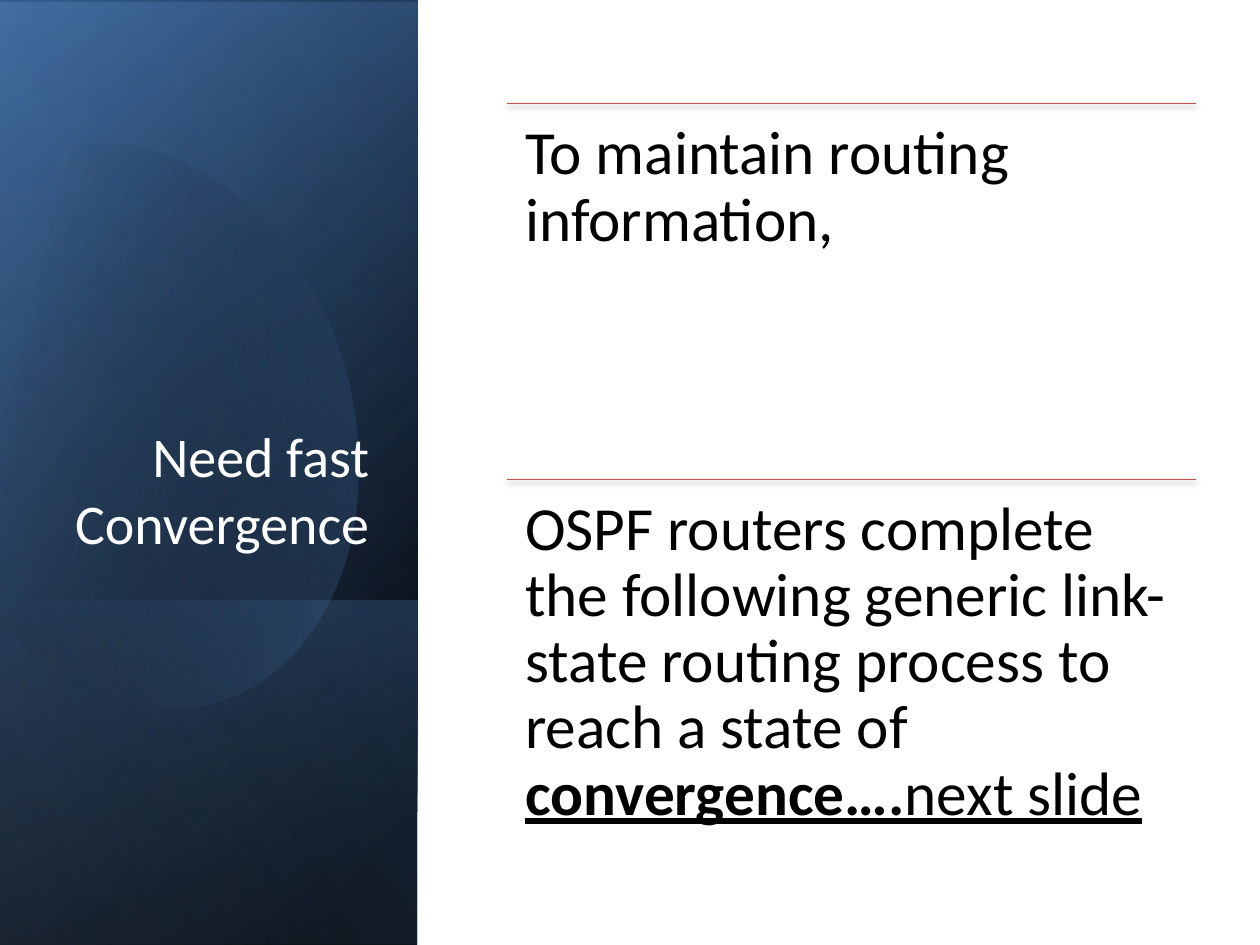
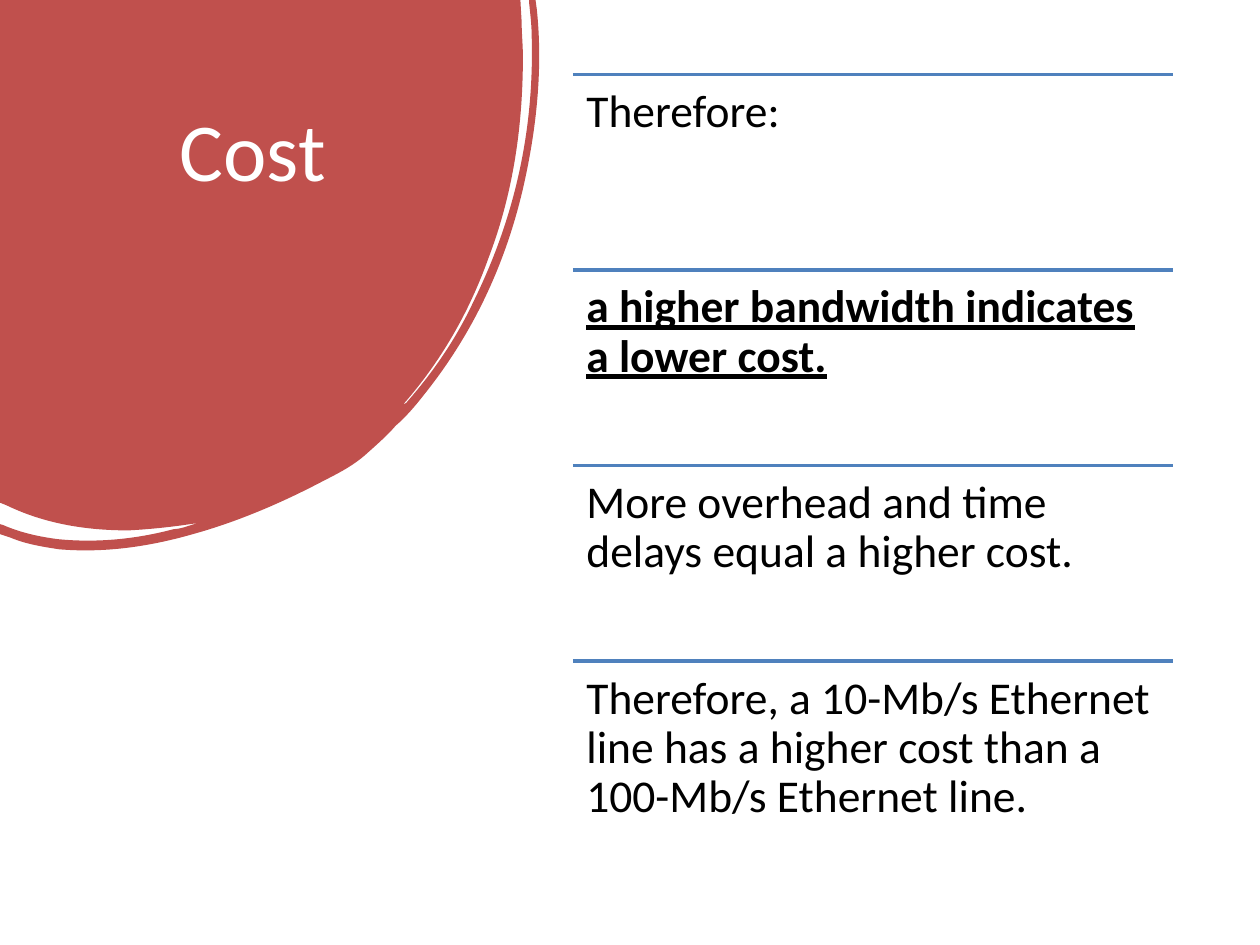
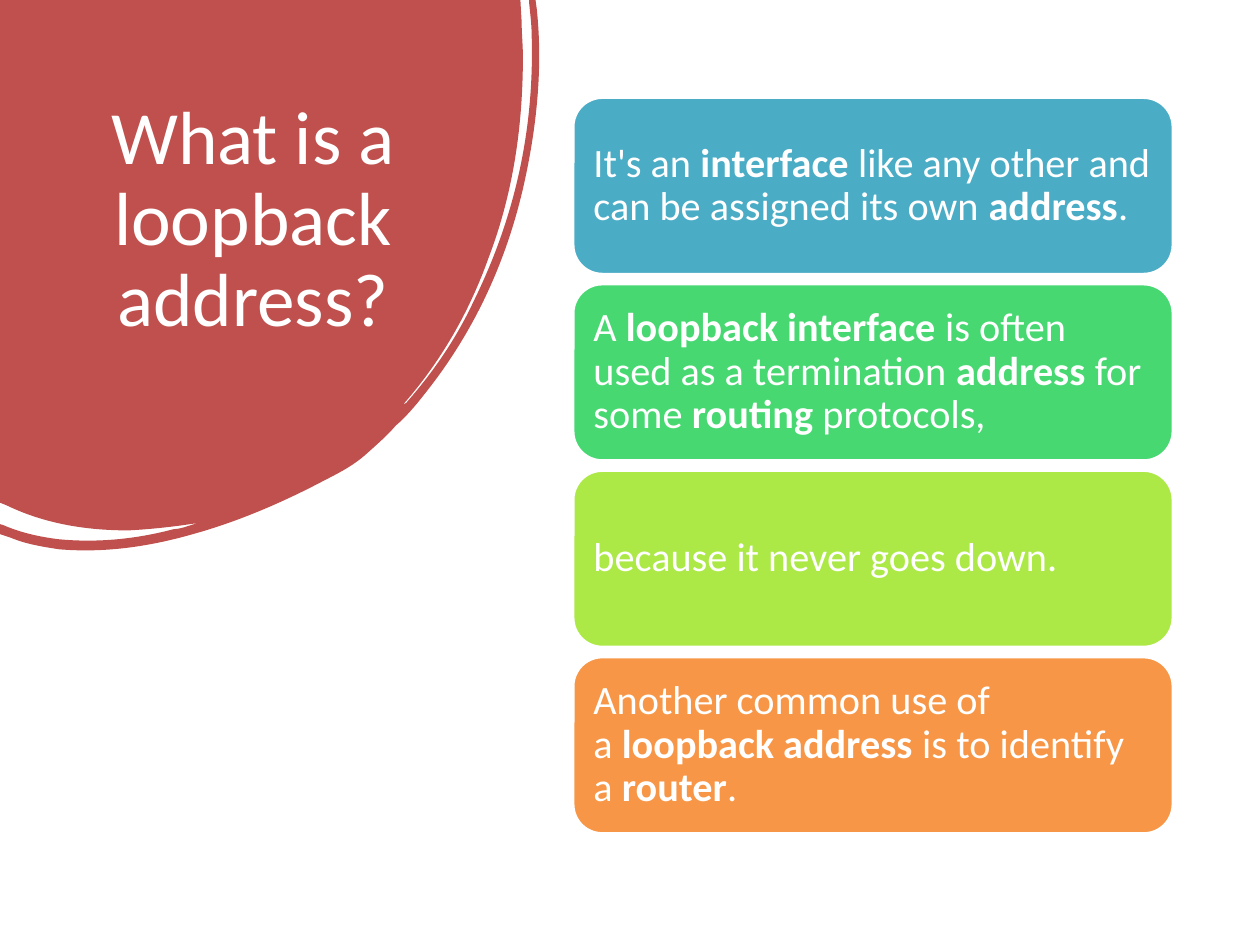
"""Builds three slides on OSPF convergence, cost and loopback addresses."""
import math

from lxml import etree
from pptx import Presentation
from pptx.dml.color import RGBColor
from pptx.enum import shapes, text
from pptx.oxml import parse_xml
from pptx.oxml import ns
from pptx.util import Pt

FONT = "Calibri"
COLORS = {
    "white": "FFFFFF", "black": "000000", "red": "C0504D", "blue": "4F81BD",
    "navy": "376092", "sky": "95B3D7", "teal": "4BACC6", "green": "47D872",
    "lime": "ACE946", "orange": "F79646",
}
HUNDREDTH_INCH = 0.72
HARD_SPACE = chr(160)
PANEL_WIDTH = 238.5
EGG_TURN = -16.1
EGG_BOX = (-29.5, 76.3, 230.4, 329)
EGG = [
    (96, 114), (171, 122, 244, 192, 273, 290), (307, 412, 262, 531, 171, 557),
    (114, 574, 53, 550, 7, 500), (-3, 488), (-25, 166), (-15, 154),
    (2, 137, 22, 125, 45, 118), (62, 113, 79, 112, 96, 114),
]
BLOB_BOX = (0, 0, 308.2, 314.6)
BLOB = [
    (0, 0), (413, 0), (414, 17), (414, 26, 415, 36, 415, 45),
    (415, 101, 407, 154, 388, 204), (372, 249, 349, 288, 320, 321),
    (322, 321, 323, 319, 324, 318), (344, 295, 362, 269, 376, 239),
    (407, 176, 424, 107, 422, 30), (422, 21, 421, 12, 420, 3), (420, 0),
    (425, 0), (426, 7), (431, 54, 426, 102, 415, 150),
    (400, 214, 373, 268, 336, 314), (329, 323, 322, 331, 314, 338),
    (307, 346, 299, 353, 290, 361), (281, 369, 270, 375, 258, 381),
    (224, 399, 189, 414, 153, 424), (118, 434, 83, 439, 47, 436),
    (34, 434, 21, 432, 9, 427), (0, 424), (0, 416), (3, 417),
    (17, 423, 31, 426, 46, 428), (77, 431, 108, 428, 138, 420),
    (141, 420, 145, 419, 148, 418), (151, 417, 154, 416, 158, 415),
    (139, 418, 121, 420, 102, 421), (69, 421, 36, 416, 5, 401), (0, 399),
]


def rgb(color):
    """Return the named colour."""
    return RGBColor.from_string(COLORS[color])


def style_font(font, size, color):
    """Set typeface, size and colour."""
    font.name, font.size = FONT, Pt(size)
    font.color.rgb = rgb(color)


def rotate(point, centre, degrees):
    """Rotate a point clockwise about a centre."""
    cos, sin = math.cos(math.radians(degrees)), math.sin(math.radians(degrees))
    dx, dy = point[0] - centre[0], point[1] - centre[1]
    return centre[0] + dx * cos - dy * sin, centre[1] + dx * sin + dy * cos


def add_outline(slide, box, segments, turn=0):
    """Add a closed freeform of lines and cubic curves, turned by degrees."""
    left, top, width, height = box
    centre = (left + width / 2, top + height / 2)
    corners = [(Pt(x), Pt(y)) for x, y in (
        (left, top), (left + width, top), (left + width, top + height))]
    builder = slide.shapes.build_freeform(*corners[0], scale=1.0)
    builder.add_line_segments(corners[1:], close=True)
    outline = builder.convert_to_shape()
    contour = outline._element.spPr.find(".//" + ns.qn("a:path"))
    for command in list(contour):
        contour.remove(command)
    for index, segment in enumerate(segments):
        tag = "a:cubicBezTo" if len(segment) == 6 else "a:lnTo"
        command = etree.SubElement(contour, ns.qn(tag if index else "a:moveTo"))
        for x, y in zip(segment[::2], segment[1::2]):
            x, y = rotate((x * HUNDREDTH_INCH, y * HUNDREDTH_INCH), centre, -turn)
            etree.SubElement(command, ns.qn("a:pt"),
                             x=str(Pt(x - left)), y=str(Pt(y - top)))
    etree.SubElement(contour, ns.qn("a:close"))
    outline.rotation = turn
    outline.shadow.inherit = False
    outline.line.fill.background()
    return outline


def fill_gradient(shape, angle, stops):
    """Fill a shape with stops of position, colour and opacity in percent."""
    stop_xml = "".join(
        f'<a:gs pos="{position * 1000}"><a:srgbClr val="{COLORS[color]}">'
        f'<a:alpha val="{opacity * 1000}"/></a:srgbClr></a:gs>'
        for position, color, opacity in stops)
    shape._element.spPr.insert(2, parse_xml(
        f'<a:gradFill {ns.nsdecls("a")} rotWithShape="1"><a:gsLst>{stop_xml}</a:gsLst>'
        f'<a:lin ang="{angle * 60000}" scaled="0"/></a:gradFill>'))


def add_panel(slide, top, height, angle, stops):
    """Add a gradient layer on the left, mirrored and turned a quarter."""
    offset = (PANEL_WIDTH - height) / 2
    panel = slide.shapes.add_shape(
        shapes.MSO_SHAPE.RECTANGLE, Pt(offset), Pt(top - offset),
        Pt(height), Pt(PANEL_WIDTH))
    panel.rotation = 90
    panel._element.spPr.xfrm.set("flipH", "1")
    panel.shadow.inherit = False
    panel.line.fill.background()
    fill_gradient(panel, angle, stops)


def add_egg(slide):
    """Add the tilted translucent egg over the panel."""
    egg = add_outline(slide, EGG_BOX, EGG, EGG_TURN)
    fill_gradient(egg, 30, [(29, "black", 0), (100, "blue", 43)])


def add_blob(slide):
    """Add the red blob in the top left corner."""
    blob = add_outline(slide, BLOB_BOX, BLOB)
    blob.fill.solid()
    blob.fill.fore_color.rgb = rgb("red")


def place_title(slide, wording, box, size, align, anchor, spacing=1.0):
    """Place the title above the decoration."""
    title = slide.shapes.title
    title.left, title.top, title.width, title.height = map(Pt, box)
    slide.shapes._spTree.append(title._element)
    frame = title.text_frame
    frame.text = wording
    frame.auto_size = text.MSO_AUTO_SIZE.NONE
    frame.vertical_anchor = anchor
    heading = frame.paragraphs[0]
    heading.alignment, heading.line_spacing = align, spacing
    style_font(heading.font, size, "white")


def place_blob_title(slide, wording, size, spacing=1.0):
    """Place a centred title on the blob."""
    place_title(slide, wording, (49.5, 53, 190, 160), size,
                text.PP_ALIGN.CENTER, text.MSO_ANCHOR.TOP, spacing)


def write_runs(shape, runs, size, color, inset, anchor):
    """Write runs marked b for bold and u for underline; ~ is a hard space."""
    frame = shape.text_frame
    frame.word_wrap = True
    frame.vertical_anchor = anchor
    frame.margin_left = frame.margin_right = Pt(inset)
    frame.margin_top = frame.margin_bottom = Pt(inset)
    statement = frame.paragraphs[0]
    statement.alignment, statement.line_spacing = text.PP_ALIGN.LEFT, 0.9
    style_font(statement.font, size, color)
    for wording, marks in runs:
        run = statement.add_run()
        run.text = wording.replace("~", HARD_SPACE)
        if "b" in marks:
            run.font.bold = True
        if "u" in marks:
            run.font.underline = True


def add_rule(slide, left, top, width, color, weight, shadow):
    """Add a horizontal rule with an optional soft shadow."""
    rule = slide.shapes.add_connector(
        shapes.MSO_CONNECTOR.STRAIGHT, Pt(left), Pt(top), Pt(left + width), Pt(top))
    rule.line.color.rgb = rgb(color)
    rule.line.width = Pt(weight)
    effect = ""
    if shadow:
        effect = (f'<a:outerShdw blurRad="{Pt(3.1)}" dist="{Pt(1.8)}" dir="5400000" '
                  f'rotWithShape="0"><a:srgbClr val="{COLORS["black"]}">'
                  '<a:alpha val="35000"/></a:srgbClr></a:outerShdw>')
    rule._element.spPr.append(parse_xml(
        f'<a:effectLst {ns.nsdecls("a")}>{effect}</a:effectLst>'))


def add_ruled_list(slide, left, top, width, step, statements, size, inset,
                   color, weight, shadow=False):
    """Stack statements, each under its own rule."""
    for index, runs in enumerate(statements):
        row_top = top + index * step
        add_rule(slide, left, row_top, width, color, weight, shadow)
        statement = slide.shapes.add_textbox(
            Pt(left), Pt(row_top), Pt(width), Pt(step))
        write_runs(statement, runs, size, "black", inset, text.MSO_ANCHOR.TOP)


def add_cards(slide, left, top, width, height, step, cards):
    """Stack rounded cards of one colour each."""
    for index, (color, runs) in enumerate(cards):
        card = slide.shapes.add_shape(
            shapes.MSO_SHAPE.ROUNDED_RECTANGLE, Pt(left), Pt(top + index * step),
            Pt(width), Pt(height))
        card.shadow.inherit = False
        card.fill.solid()
        card.fill.fore_color.rgb = rgb(color)
        card.line.color.rgb = rgb("white")
        card.line.width = Pt(2)
        write_runs(card, runs, 23, "white", 6.9, text.MSO_ANCHOR.MIDDLE)


def build_convergence(slide):
    """Build the slide on fast convergence."""
    add_panel(slide, 0, 540, 50, [(8, "black", 100), (100, "navy", 100)])
    add_panel(slide, 1.5, 540, 30, [(0, "black", 0), (99, "blue", 46)])
    add_panel(slide, 343, 197, 130, [(2, "blue", 29), (100, "black", 30)])
    add_egg(slide)
    add_panel(slide, 0, 540, 120, [(0, "black", 0), (99, "sky", 11)])
    place_title(slide, "Need fast Convergence", (34.3, 132.5, 184, 188.8), 32,
                text.PP_ALIGN.RIGHT, text.MSO_ANCHOR.BOTTOM)
    add_ruled_list(slide, 289.7, 59.2, 393.8, 214.6, [
        [("To maintain routing information,", "")],
        [("OSPF routers complete the following generic link-state routing "
          "process to reach a state of ", ""),
         ("convergence….", "bu"), ("next slide", "u")],
    ], 35, 10.5, "red", 0.75, shadow=True)


def build_cost(slide):
    """Build the slide on cost."""
    add_blob(slide)
    place_blob_title(slide, "Cost", 47)
    add_ruled_list(slide, 327.3, 42.6, 343.2, 111.75, [
        [("Therefore:", "")],
        [("a higher bandwidth indicates a lower cost.", "bu")],
        [("More overhead and time delays equal a higher cost.", "")],
        [("Therefore, a 10-Mb/s Ethernet line has a higher cost than a "
          "100-Mb/s Ethernet line.", "")],
    ], 26, 7.8, "blue", 2)


def build_loopback(slide):
    """Build the slide on loopback addresses."""
    add_blob(slide)
    place_blob_title(slide, "What is a loopback address?", 43, 0.9)
    add_cards(slide, 327.3, 55.6, 343.2, 101.3, 106.55, [
        ("teal", [("It's an~", ""), ("interface", "b"),
                  ("~like any other and can be assigned its own~", ""),
                  ("address", "b"), (".", "")]),
        ("green", [("A~", ""), ("loopback interface", "b"),
                   ("~is often used as a termination~", ""), ("address", "b"),
                   ("~for some~", ""), ("routing", "b"), ("~protocols,", "")]),
        ("lime", [("because it never goes down.", "")]),
        ("orange", [("Another common use of a~", ""), ("loopback address", "b"),
                    ("~is to identify a~", ""), ("router", "b"), (".", "")]),
    ])


def main():
    """Build and save the presentation."""
    deck = Presentation()
    deck.slide_width, deck.slide_height = Pt(720), Pt(540)
    for build in (build_convergence, build_cost, build_loopback):
        build(deck.slides.add_slide(deck.slide_layouts[5]))
    deck.save("out.pptx")


if __name__ == "__main__":
    main()
